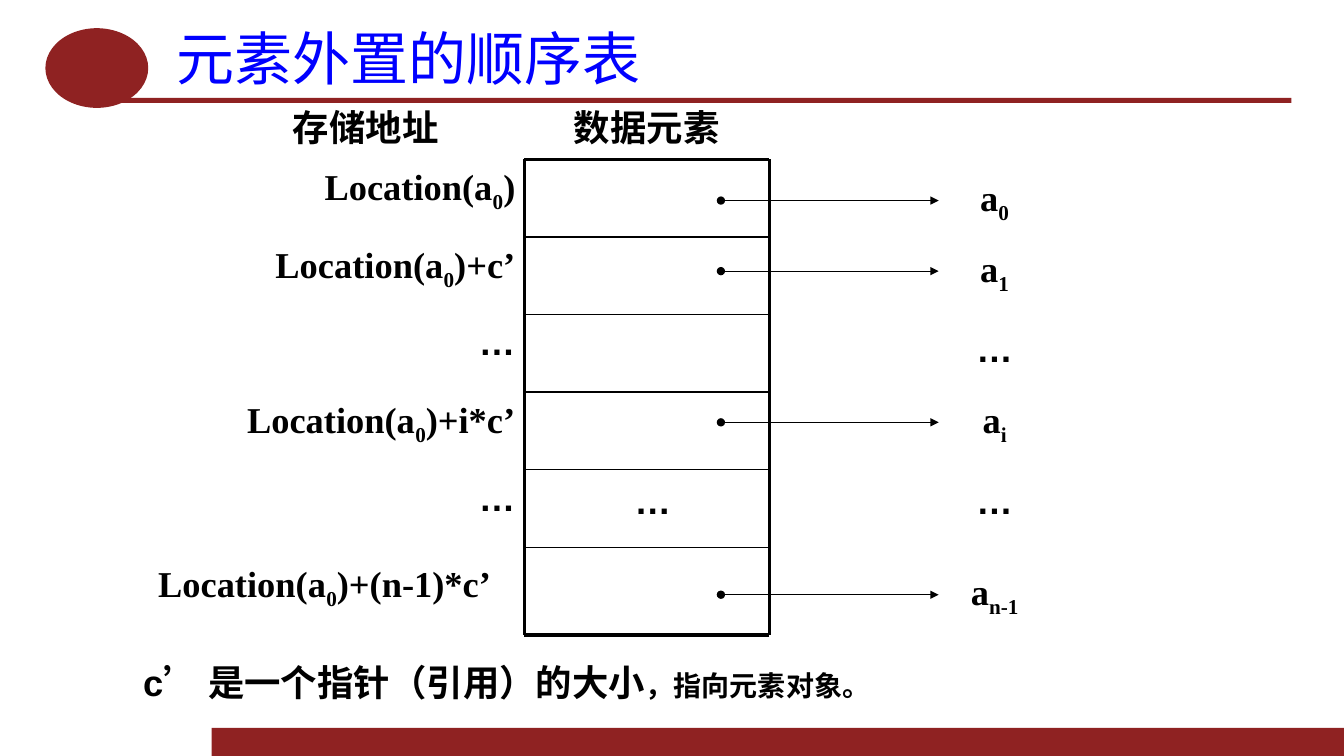
from lxml import etree
from pptx import Presentation
from pptx.dml.color import RGBColor
from pptx.enum.shapes import MSO_CONNECTOR as LINE, MSO_SHAPE as SHAPE
from pptx.enum.text import MSO_ANCHOR as ANCHOR, PP_ALIGN as ALIGN
from pptx.oxml.ns import qn
from pptx.util import Inches, Pt

RED = RGBColor(0x8F, 0x22, 0x22)
BLUE = RGBColor(0x00, 0x00, 0xFF)
BLACK = RGBColor(0x00, 0x00, 0x00)
SERIF, SANS, CJK = "Times New Roman", "Arial", "Noto Sans CJK SC"

# Content: text is a list of (piece, style), where style is "sub", a size or None
TITLE = "元素外置的顺序表"
DOTS = [("…", None)]
NOTE = [("c’ 是一个指针（引用）的大小", None), ("，指向元素对象。", 20)]
ADDRESS_HEADER, ELEMENT_HEADER = "存储地址", "数据元素"
ADDRESS_TAILS = [")", ")+c’", None, ")+i*c’", None, ")+(n-1)*c’"]
ELEMENTS = [("0", 1.99), ("1", 2.69), (None, 3.49),  # subscript, centre height
            ("i", 4.19), (None, 4.99), ("n-1", 5.9)]
DECORATIONS = [(SHAPE.RECTANGLE, 2.1, 7.22, 11.23, 0.28),
               (SHAPE.RECTANGLE, 1.18, 0.97, 11.63, 0.05),
               (SHAPE.OVAL, 0.45, 0.28, 1.02, 0.79)]

# Geometry of the storage column
LEFT, RIGHT, TOP, BOTTOM, ROW_H = 5.2, 7.63, 1.58, 6.3, 0.77
COL_W = RIGHT - LEFT
ROW_TOPS = [TOP + i * ROW_H for i in range(len(ADDRESS_TAILS))]
LABEL_X, LABEL_W = 1.23, 3.98
ARROW_FROM, ARROW_TO, ELEMENT_X = 7.15, 9.31, 8.65

prs = Presentation()
prs.slide_width, prs.slide_height = Inches(13.33), Inches(7.5)
s = prs.slides.add_slide(prs.slide_layouts[5])


def set_font(p, size, name, color, bold):
    f = p.font
    f.size, f.name, f.bold = Pt(size), name, bold
    f.color.rgb = color
    latin = f._element.find(qn("a:latin"))
    ea = etree.Element(qn("a:ea"), typeface=CJK)
    latin.addnext(ea)


def add_text(pieces, x, y, w, h, font, align):
    sp = s.shapes.add_textbox(Inches(x), Inches(y), Inches(w), Inches(h))
    tf = sp.text_frame
    tf.word_wrap = True
    p = tf.paragraphs[0]
    p.alignment = align
    set_font(p, 26, font, BLACK, True)
    for text, style in pieces:
        r = p.add_run()
        r.text = text
        if style == "sub":
            r.font._element.set("baseline", "-25000")
        elif style:
            r.font.size = Pt(style)
    return tf


def add_line(x1, y1, x2, y2, width, arrow=False):
    c = s.shapes.add_connector(LINE.STRAIGHT, Inches(x1), Inches(y1), Inches(x2), Inches(y2))
    c.line.color.rgb = BLACK
    c.line.width = Pt(width)
    if arrow:
        ln = c.line._get_or_add_ln()
        etree.SubElement(ln, qn("a:headEnd"), type="oval")
        etree.SubElement(ln, qn("a:tailEnd"), type="triangle")
    etree.SubElement(c._element.spPr, qn("a:effectLst"))


# Bars and ellipse
for kind, *box in DECORATIONS:
    sp = s.shapes.add_shape(kind, *map(Inches, box))
    sp.shadow.inherit = False
    sp.fill.solid()
    sp.fill.fore_color.rgb = RED
    sp.line.fill.background()

# Title
title = s.shapes.title
title.left, title.top, title.width, title.height = map(Inches, (1.62, 0.21, 11.19, 0.71))
tf = title.text_frame
tf.text = TITLE
tf.vertical_anchor = ANCHOR.MIDDLE
tf.margin_left = tf.margin_right = Inches(0.13)
tf.margin_top = tf.margin_bottom = Inches(0.06)
tf.paragraphs[0].alignment = ALIGN.JUSTIFY
set_font(tf.paragraphs[0], 41.4, CJK, BLUE, False)

# Column headers
add_text([(ADDRESS_HEADER, None)], 2.38, 0.99, 2.07, 0.5, CJK, ALIGN.RIGHT)
add_text([(ELEMENT_HEADER, None)], LEFT, 0.99, COL_W, 0.5, CJK, ALIGN.CENTER)

# Storage column: thin row dividers, thick frame
for y in ROW_TOPS[1:]:
    add_line(LEFT, y, RIGHT, y, 1)
for y in (TOP, BOTTOM):
    add_line(LEFT, y, RIGHT, y, 2.25)
for x in (LEFT, RIGHT):
    add_line(x, TOP, x, BOTTOM, 2.25)

# Addresses; the last one is set lower and further left
for tail, y in zip(ADDRESS_TAILS, ROW_TOPS):
    last = y == ROW_TOPS[-1]
    pieces = [("Location(a", None), ("0", "sub"), (tail, None)] if tail else DOTS
    add_text(pieces, LABEL_X - 0.24 * last, y + 0.09 * last, LABEL_W, ROW_H,
             SERIF if tail else SANS, ALIGN.RIGHT)

# Pointers and the elements they lead to
for sub, y in ELEMENTS:
    pieces = [("a", None), (sub, "sub")] if sub else DOTS
    add_text(pieces, ELEMENT_X, y - 0.3, COL_W, 0.7, SERIF if sub else SANS, ALIGN.CENTER)
    if sub:
        add_line(ARROW_FROM, y, ARROW_TO, y, 0.75, arrow=True)
add_text(DOTS, 5.26, 4.69, COL_W, 0.6, SANS, ALIGN.CENTER)

# Note
tf = add_text(NOTE, 1.42, 6.51, 11.55, 0.52, SANS, ALIGN.LEFT)
tf.margin_left = tf.margin_right = 0
tf.margin_top = tf.margin_bottom = Inches(0.04)

prs.save("out.pptx")
